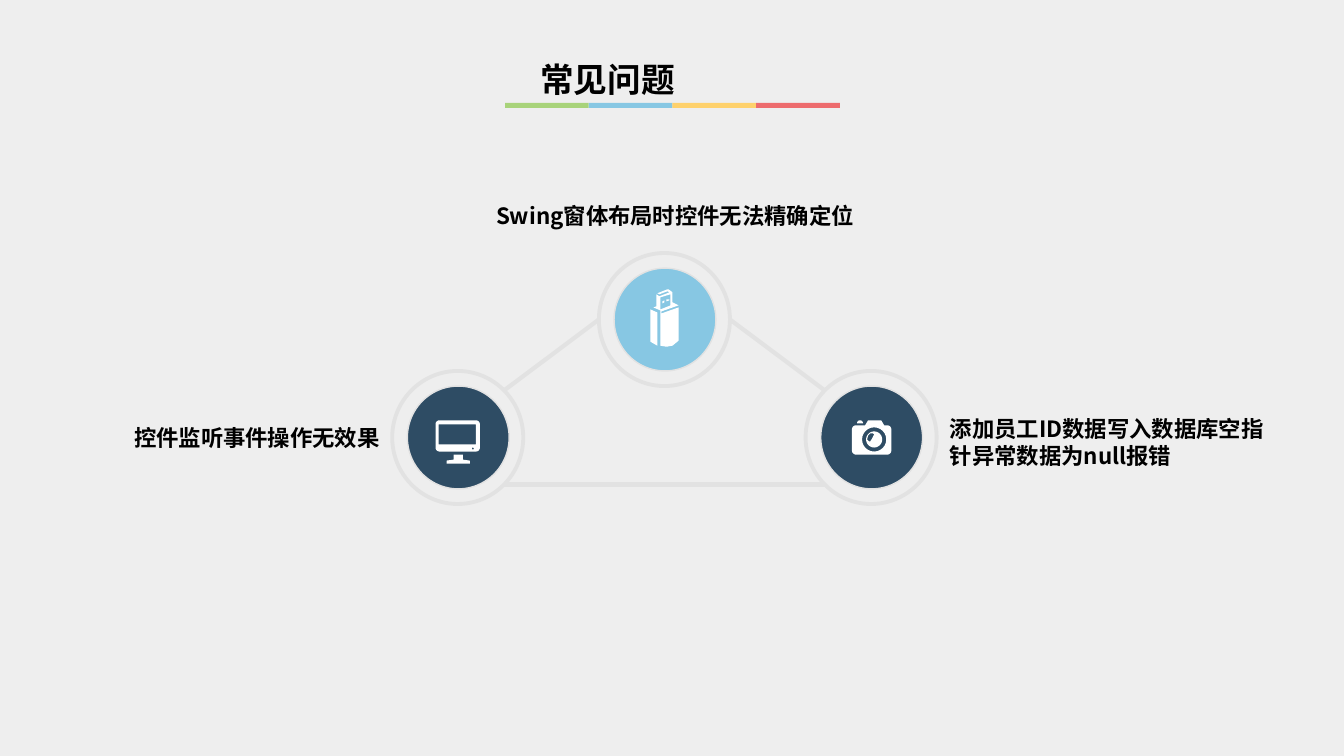
"""Build the common-problems slide: three linked discs with icons and labels."""
import math

import lxml.etree
import pptx
import pptx.dml.color
import pptx.enum.lang
import pptx.enum.shapes
import pptx.enum.text
import pptx.oxml.ns
import pptx.util

RGB = pptx.dml.color.RGBColor
BACK = RGB(0xEE, 0xEE, 0xEE)
GREY = RGB(0xE2, 0xE2, 0xE2)
BLACK = RGB(0, 0, 0)
WHITE = RGB(0xFF, 0xFF, 0xFF)
GREEN = RGB(0xA8, 0xD3, 0x7A)
SKY = RGB(0x87, 0xC7, 0xE3)
GOLD = RGB(0xFE, 0xD1, 0x6C)
RED = RGB(0xED, 0x6B, 0x6D)
NAVY = RGB(0x2E, 0x4C, 0x64)

PX = 9144
SLIDE = (1333, 750)
NOTO = "Noto Sans CJK SC"
ALIGN = pptx.enum.text.PP_ALIGN

STRIPE = (501, 102, 5)
EDGES = [501, 584, 667, 750, 833]
BARS = [GREEN, SKY, GOLD, RED]
TITLE = ("常见问题", (526, 54, 281, 50), "Arial", 24, ALIGN.JUSTIFY, (10, 5))
LABELS = [
    ("控件监听事件操作无效果", (120, 414, 286, 40)),
    ("Swing窗体布局时控件无法精确定位", (479, 194, 410, 40)),
    ("添加员工ID数据写入数据库空指针异常数据为null报错", (929, 405, 344, 67)),
]
RING = (130, 132)
DISC = (101, 102)
TOP, LEFT, RIGHT = (659, 317), (454, 434), (864, 434)
NODES = [(TOP, SKY), (LEFT, NAVY), (RIGHT, NAVY)]
LINKS = [(TOP, 180, LEFT, -45), (LEFT, 45, RIGHT, 135), (TOP, 0, RIGHT, -135)]


def arc(x, y, r, start=0, end=360):
    """Return points along a circle, angles running clockwise from the right."""
    turns = [math.radians(start + (end - start) * i / 24) for i in range(25)]
    return [(x + r * math.cos(t), y + r * math.sin(t)) for t in turns]


def box(x, y, right, low, r=0):
    """Return the corners of a box, rounded by r."""
    spots = [(right - r, low - r), (x + r, low - r), (x + r, y + r), (right - r, y + r)]
    if not r:
        return spots
    return [p for i, (a, b) in enumerate(spots) for p in arc(a, b, r, 90 * i, 90 * i + 90)]


SCREEN = [
    box(432, 417, 476, 448, 4),
    box(435, 421, 472, 441),
    arc(469, 445, 1),
    [(443, 457), (450, 456), (450, 451), (459, 451), (459, 456), (466, 457), (466, 460), (443, 460)],
]
CAMERA = [
    arc(853, 420, 3, 180, 360),
    [(861, 417), (858, 422)] + arc(849, 426, 4, 270, 180) + arc(849, 447, 4, 180, 90)
    + arc(880, 447, 4, 90, 0) + arc(880, 426, 4, 0, -90) + [(877, 422), (874, 417)],
    arc(867, 436, 12),
    arc(867, 436, 8),
    [(866, 430), (863, 430), (861, 432), (860, 436), (862, 438), (863, 438), (865, 435), (867, 431)],
]
STICK = [
    [(645, 307), (652, 310), (652, 343), (645, 339)],
    [(661, 297), (664, 297), (664, 298), (661, 299)],
    [(657, 299), (659, 298), (659, 300), (657, 301)],
    [(654, 294), (651, 292), (651, 304), (648, 305), (655, 308), (655, 343), (661, 344), (667, 343),
     (673, 338), (673, 305), (656, 311), (656, 309), (673, 303), (667, 300), (667, 290), (663, 287),
     (662, 287), (652, 291), (654, 292), (662, 289), (664, 290)],
    [(665, 292), (655, 295), (655, 307), (665, 303)],
]


def paint(shape, fill=None, line=None, width=0):
    """Set fill and line, and drop the shadow."""
    shape.shadow.inherit = False
    if fill is None:
        shape.fill.background()
    else:
        shape.fill.solid()
        shape.fill.fore_color.rgb = fill
    if line is None:
        shape.line.fill.background()
    else:
        shape.line.color.rgb = line
        shape.line.width = pptx.util.Pt(width)


def shape(slide, kind, *place):
    """Add a preset shape placed in px."""
    return slide.shapes.add_shape(kind, *[v * PX for v in place])


def oval(slide, spot, size, *look):
    """Add an ellipse around its centre."""
    (x, y), (w, h) = spot, size
    kind = pptx.enum.shapes.MSO_SHAPE.OVAL
    paint(shape(slide, kind, x - w // 2, y - h // 2, w, h), *look)


def rim(spot, turn):
    """Return the point of a ring at an angle."""
    t = math.radians(turn)
    return [round((c + d / 2 * f) * PX) for c, d, f in zip(spot, RING, (math.cos(t), math.sin(t)))]


def link(slide, first, out, last, into):
    """Draw a line between two rings."""
    kind = pptx.enum.shapes.MSO_CONNECTOR.STRAIGHT
    line = slide.shapes.add_connector(kind, *rim(first, out), *rim(last, into))
    line.line.color.rgb = GREY
    line.line.width = pptx.util.Pt(3)
    lxml.etree.SubElement(line._element.spPr, pptx.oxml.ns.qn("a:effectLst"))


def icon(slide, parts):
    """Draw closed outlines as one white shape."""
    parts = [[(x * PX, y * PX) for x, y in part] for part in parts]
    pen = slide.shapes.build_freeform(*parts[0][0])
    for i, part in enumerate(parts):
        if i:
            pen.move_to(*part[0])
        pen.add_line_segments(part[1:], close=True)
    paint(pen.convert_to_shape(), WHITE)


def label(slide, text, place, face=NOTO, size=16, align=ALIGN.LEFT, pad=(13, 7)):
    """Add a bold text box."""
    frame = slide.shapes.add_textbox(*[v * PX for v in place]).text_frame
    frame.word_wrap = True
    frame.auto_size = pptx.enum.text.MSO_AUTO_SIZE.SHAPE_TO_FIT_TEXT
    frame.margin_left = frame.margin_right = pad[0] * PX
    frame.margin_top = frame.margin_bottom = pad[1] * PX
    para = frame.paragraphs[0]
    para.alignment = align
    run = para.add_run()
    run.text = text
    font = run.font
    font.name, font.bold, font.size = face, True, pptx.util.Pt(size)
    font.color.rgb = BLACK
    font.language_id = pptx.enum.lang.MSO_LANGUAGE_ID.SIMPLIFIED_CHINESE
    east = lxml.etree.SubElement(run._r.get_or_add_rPr(), pptx.oxml.ns.qn("a:ea"))
    east.set("typeface", face)


def main():
    """Build and save the slide."""
    deck = pptx.Presentation()
    deck.slide_width, deck.slide_height = [v * PX for v in SLIDE]
    slide = deck.slides.add_slide(deck.slide_layouts[6])
    slide.background.fill.solid()
    slide.background.fill.fore_color.rgb = BACK
    for left, right, hue in zip(EDGES, EDGES[1:], BARS):
        bar = shape(slide, pptx.enum.shapes.MSO_SHAPE.RECTANGLE, left, STRIPE[1], right - left, STRIPE[2])
        paint(bar, hue)
    label(slide, *TITLE)
    for spot, hue in NODES:
        oval(slide, spot, DISC, hue, GREY, 1)
        oval(slide, spot, RING, None, GREY, 2.75)
    for ends in LINKS:
        link(slide, *ends)
    for parts in (SCREEN, CAMERA, STICK):
        icon(slide, parts)
    for text, place in LABELS:
        label(slide, text, place)
    deck.save("out.pptx")


if __name__ == "__main__":
    main()
